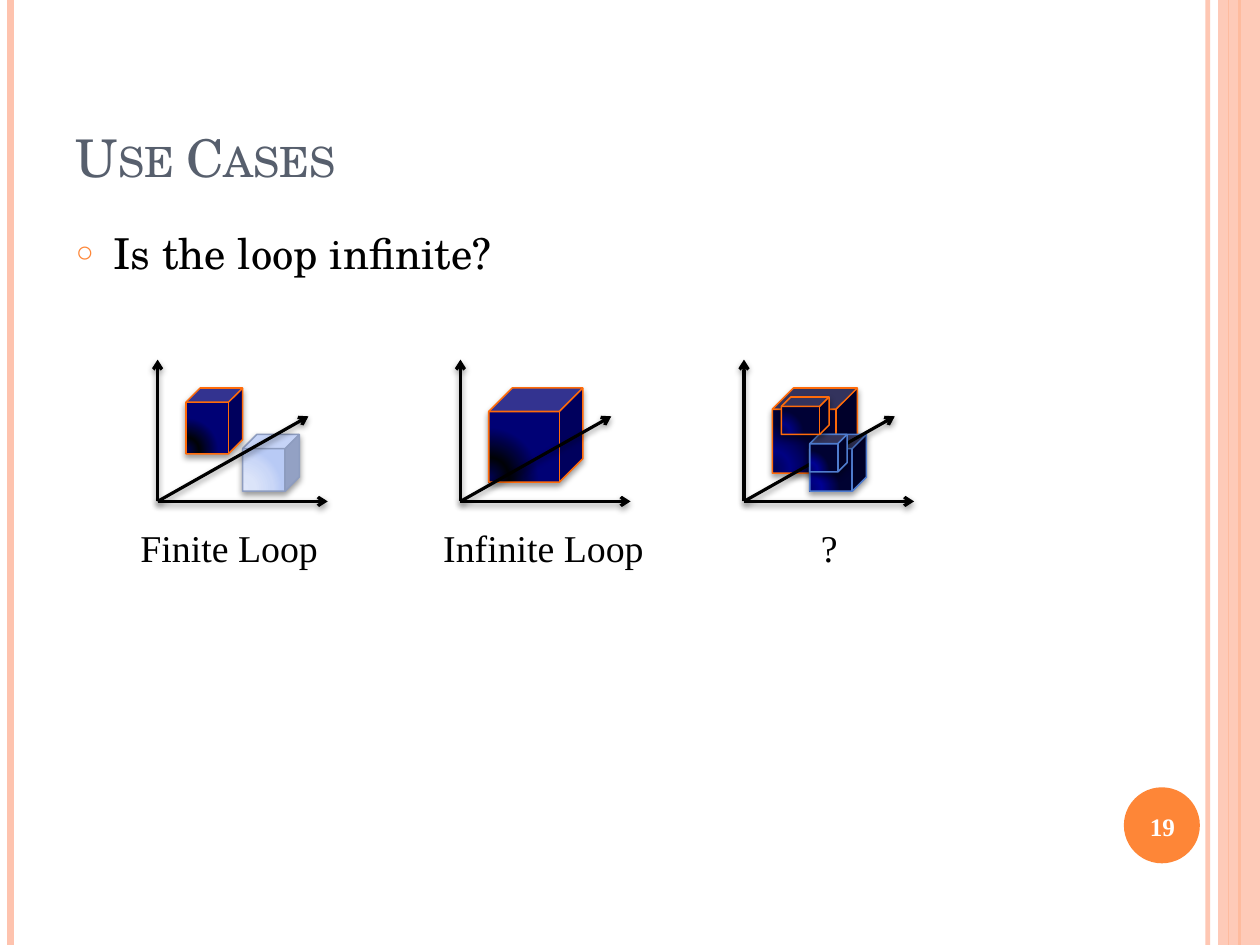
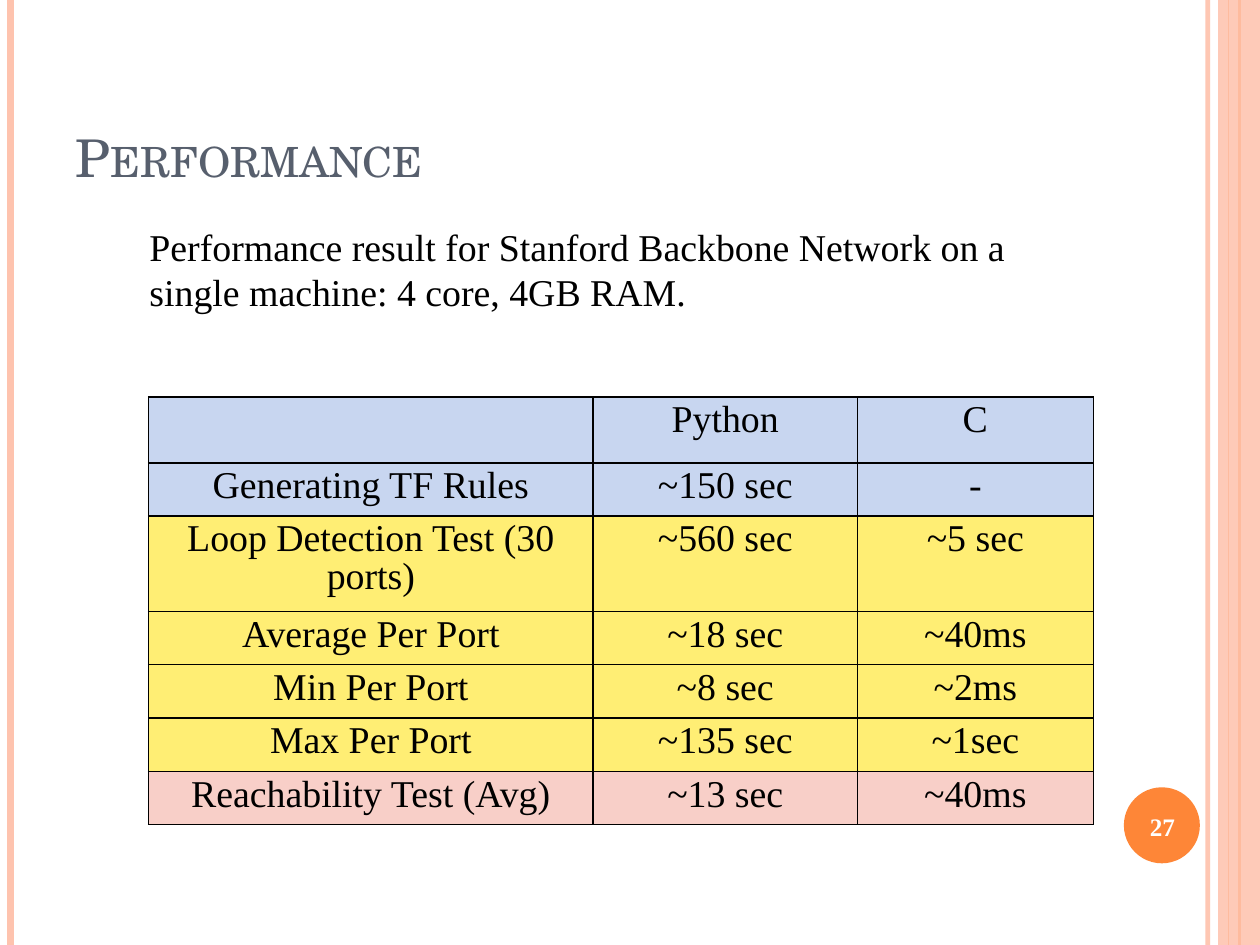
from dataclasses import dataclass
from typing import Optional, Union

from lxml.etree import SubElement
from pptx import Presentation
from pptx.dml.color import RGBColor
from pptx.enum.shapes import MSO_CONNECTOR, MSO_SHAPE
from pptx.enum.text import MSO_ANCHOR as Anchor, MSO_AUTO_SIZE as AutoSize, PP_ALIGN as Align
from pptx.oxml import parse_xml
from pptx.oxml.ns import nsdecls, qn
from pptx.shapes.autoshape import Shape
from pptx.shapes.connector import Connector
from pptx.slide import Slide
from pptx.text.text import TextFrame
from pptx.util import Inches, Pt

BLACK = RGBColor(0x00, 0x00, 0x00)
WHITE = RGBColor(0xFF, 0xFF, 0xFF)
SLATE = RGBColor(0x57, 0x5F, 0x6D)
ORANGE = RGBColor(0xFE, 0x86, 0x37)
PEACH = RGBColor(0xFE, 0xC3, 0xAE)
CUBE_ORANGE = RGBColor(0xFF, 0x6B, 0x0A)
CUBE_PALE_ORANGE = RGBColor(0xFF, 0xCF, 0xAF)
CUBE_MID_ORANGE = RGBColor(0xFE, 0xB6, 0x87)
CUBE_BLUE = RGBColor(0x4F, 0x7C, 0xCF)
CUBE_GREY_BLUE = RGBColor(0x8D, 0x9C, 0xBF)
CUBE_PALE_BLUE = RGBColor(0xAC, 0xC1, 0xE8)
ROW_BLUE = RGBColor(0xC8, 0xD6, 0xF0)
ROW_YELLOW = RGBColor(0xFF, 0xEE, 0x74)
ROW_PINK = RGBColor(0xF8, 0xCF, 0xC8)

HEADING_FONT = "TeX Gyre Schola"
TEXT_FONT = "Times New Roman"
SLIDE_WIDTH, SLIDE_HEIGHT = 11.11, 8.33
TITLE_LAYOUT, BODY_LAYOUT = 5, 1
PLACEHOLDER_INSETS = (0.11, 0.06)
AXIS_BOTTOM = 4.42


@dataclass(frozen=True)
class Stripe:
    x: float
    color: RGBColor
    width: float
    opacity: int = 100


@dataclass(frozen=True)
class CubeStyle:
    line: RGBColor
    fill: Union[RGBColor, tuple[str, ...]]
    opacity: int = 100


@dataclass(frozen=True)
class Cube:
    offset: float
    top: float
    width: float
    height: float
    style: CubeStyle


@dataclass(frozen=True)
class Diagram:
    axis_x: float
    caption: str
    caption_offset: float
    caption_width: float
    back_cubes: tuple[Cube, ...]
    front_cubes: tuple[Cube, ...] = ()


@dataclass(frozen=True)
class Row:
    height: float
    fill: RGBColor
    texts: tuple[str, str, str]


STRIPES = (
    Stripe(10.65, PEACH, 3, 93),
    Stripe(0.09, PEACH, 4.5),
    Stripe(10.93, ORANGE, 1.5),
    Stripe(10.83, ORANGE, 0.75),
)
GRADIENT_POSITIONS = (0, 30, 75, 100)
SOFT_BLUE = CubeStyle(CUBE_GREY_BLUE, ("DEE6FA", "DBE4F9", "CAD7F7", "B8CAF5"))
STRONG_BLUE = CubeStyle(CUBE_BLUE, ("CFDCFF", "CBD9FF", "AFC6FF", "95B4FF"))
CLEAR_BLUE = CubeStyle(CUBE_BLUE, CUBE_PALE_BLUE, 49)
PALE_ORANGE = CubeStyle(CUBE_ORANGE, CUBE_PALE_ORANGE, 63)
FAINT_ORANGE = CubeStyle(CUBE_ORANGE, CUBE_PALE_ORANGE, 40)
MID_ORANGE = CubeStyle(CUBE_ORANGE, CUBE_MID_ORANGE, 63)

AXIS_TIPS = ((1.33, 3.67), (0, 3.17), (1.5, AXIS_BOTTOM))
DIAGRAMS = (
    Diagram(1.39, "Finite Loop", -0.25, 1.79, (
        Cube(0.75, 3.83, 0.5, 0.5, SOFT_BLUE),
        Cube(0.25, 3.42, 0.5, 0.58, PALE_ORANGE),
    )),
    Diagram(4.06, "Infinite Loop", -0.25, 1.99, (
        Cube(0.41, 3.67, 0.5, 0.42, STRONG_BLUE),
        Cube(0.25, 3.42, 0.83, 0.83, FAINT_ORANGE),
    )),
    Diagram(6.56, "?", 0.58, 0.35, (
        Cube(0.25, 3.42, 0.75, 0.75, MID_ORANGE),
        Cube(0.58, 3.83, 0.5, 0.5, CLEAR_BLUE),
    ), (
        Cube(0.58, 3.83, 0.33, 0.33, CLEAR_BLUE),
        Cube(0.33, 3.5, 0.42, 0.33, MID_ORANGE),
    )),
)

COLUMN_WIDTHS = (3.92, 2.33, 2.08)
ROWS = (
    Row(0.58, ROW_BLUE, ("", "Python", "C")),
    Row(0.47, ROW_BLUE, ("Generating TF Rules", "~150 sec", "-")),
    Row(0.84, ROW_YELLOW, ("Loop Detection Test (30 ports)", "~560 sec", "~5 sec")),
    Row(0.47, ROW_YELLOW, ("Average Per Port", "~18 sec", "~40ms")),
    Row(0.47, ROW_YELLOW, ("Min Per Port", "~8 sec", "~2ms")),
    Row(0.47, ROW_YELLOW, ("Max Per Port", "~135 sec", "~1sec")),
    Row(0.47, ROW_PINK, ("Reachability Test (Avg)", "~13 sec", "~40ms")),
)


def write_text(frame: TextFrame, text: str, *, size: float = 24, font: str = TEXT_FONT,
               color: RGBColor = BLACK, bold: bool = False, small_caps: bool = False,
               align: Align = Align.LEFT, anchor: Optional[Anchor] = None,
               insets: Optional[tuple[float, float]] = None, wrap: Optional[bool] = True,
               auto_size: Optional[AutoSize] = AutoSize.NONE,
               line_spacing: Optional[float] = None) -> None:
    frame.word_wrap = wrap
    frame.auto_size = auto_size
    if anchor is not None:
        frame.vertical_anchor = anchor
    if insets:
        frame.margin_left = frame.margin_right = Inches(insets[0])
        frame.margin_top = frame.margin_bottom = Inches(insets[1])
    paragraph = frame.paragraphs[0]
    paragraph.alignment = align
    paragraph.line_spacing = line_spacing
    run = paragraph.add_run()
    run.text = text
    run.font.size = Pt(size)
    run.font.name = font
    run.font.bold = bold
    run.font.color.rgb = color
    if small_caps:
        run.font._element.set("cap", "small")


def place(shape: Shape, left: float, top: float, width: float, height: float) -> None:
    shape.left, shape.top = Inches(left), Inches(top)
    shape.width, shape.height = Inches(width), Inches(height)


def add_text_box(slide: Slide, left: float, top: float, width: float, height: float,
                 text: str, **text_format) -> None:
    box = slide.shapes.add_textbox(Inches(left), Inches(top), Inches(width), Inches(height))
    write_text(box.text_frame, text, **text_format)


def set_opacity(color_element, percent: int) -> None:
    if percent < 100:
        SubElement(color_element, qn("a:alpha")).set("val", str(percent * 1000))


def add_shadow(effects) -> None:
    effects.append(parse_xml(
        f'<a:outerShdw {nsdecls("a")} blurRad="{Pt(4)}" dist="{Pt(2)}" dir="5400000" '
        'rotWithShape="0"><a:srgbClr val="000000"><a:alpha val="40000"/></a:srgbClr></a:outerShdw>'))


def add_shape(slide: Slide, kind: MSO_SHAPE, left: float, top: float, width: float,
              height: float, fill: RGBColor, opacity: int = 100) -> Shape:
    shape = slide.shapes.add_shape(kind, Inches(left), Inches(top), Inches(width), Inches(height))
    shape.shadow.inherit = False
    shape.fill.solid()
    shape.fill.fore_color.rgb = fill
    set_opacity(shape.element.spPr.xpath("./a:solidFill/a:srgbClr")[0], opacity)
    shape.line.fill.background()
    return shape


def add_line(slide: Slide, start: tuple[float, float], end: tuple[float, float],
             color: RGBColor, width: float, opacity: int = 100) -> Connector:
    line = slide.shapes.add_connector(
        MSO_CONNECTOR.STRAIGHT, *(Inches(value) for value in start + end))
    line.line.color.rgb = color
    line.line.width = Pt(width)
    properties = line.element.spPr
    set_opacity(properties.xpath("./a:ln/a:solidFill/a:srgbClr")[0], opacity)
    SubElement(properties, qn("a:effectLst"))
    return line


def add_axis(slide: Slide, start: tuple[float, float], end: tuple[float, float]) -> None:
    properties = add_line(slide, start, end, BLACK, 2).element.spPr
    SubElement(properties.find(qn("a:ln")), qn("a:tailEnd")).set("type", "arrow")
    add_shadow(properties.find(qn("a:effectLst")))


def add_cube(slide: Slide, cube: Cube, axis_x: float) -> None:
    style = cube.style
    is_gradient = isinstance(style.fill, tuple)
    shape = add_shape(slide, MSO_SHAPE.CUBE, axis_x + cube.offset, cube.top, cube.width,
                      cube.height, WHITE if is_gradient else style.fill, style.opacity)
    shape.line.color.rgb = style.line
    shape.line.width = Pt(1)
    properties = shape.element.spPr
    if is_gradient:
        stops = "".join(f'<a:gs pos="{position * 1000}"><a:srgbClr val="{color}"/></a:gs>'
                        for position, color in zip(GRADIENT_POSITIONS, style.fill))
        properties.replace(properties.find(qn("a:solidFill")), parse_xml(
            f'<a:gradFill {nsdecls("a")} rotWithShape="1"><a:gsLst>{stops}</a:gsLst>'
            '<a:path path="circle"><a:fillToRect l="5000" t="100000" r="120000" b="10000"/>'
            '</a:path></a:gradFill>'))
    add_shadow(properties.find(qn("a:effectLst")))


def add_diagram(slide: Slide, diagram: Diagram) -> None:
    for cube in diagram.back_cubes:
        add_cube(slide, cube, diagram.axis_x)
    for offset, tip_y in AXIS_TIPS:
        add_axis(slide, (diagram.axis_x, AXIS_BOTTOM), (diagram.axis_x + offset, tip_y))
    add_text_box(slide, diagram.axis_x + diagram.caption_offset, 4.58, diagram.caption_width,
                 0.51, diagram.caption, wrap=False, auto_size=AutoSize.SHAPE_TO_FIT_TEXT)
    for cube in diagram.front_cubes:
        add_cube(slide, cube, diagram.axis_x)


def add_framed_slide(presentation: Presentation, layout: int, title: str, number: int) -> Slide:
    slide = presentation.slides.add_slide(presentation.slide_layouts[layout])
    for stripe in STRIPES:
        add_line(slide, (stripe.x, 0), (stripe.x, SLIDE_HEIGHT),
                 stripe.color, stripe.width, stripe.opacity)
    add_shape(slide, MSO_SHAPE.RECTANGLE, 10.74, 0, 0.37, SLIDE_HEIGHT, PEACH, 87)
    add_shape(slide, MSO_SHAPE.OVAL, 9.91, 6.94, 0.67, 0.67, ORANGE)
    place(slide.shapes.title, 0.56, 0.33, 9.07, 1.39)
    write_text(slide.shapes.title.text_frame, title, size=33, font=HEADING_FONT, color=SLATE,
               small_caps=True, anchor=Anchor.BOTTOM, insets=PLACEHOLDER_INSETS)
    add_text_box(slide, 9.88, 6.97, 0.74, 0.63, str(number), size=16, color=WHITE, bold=True,
                 align=Align.CENTER, anchor=Anchor.MIDDLE, insets=PLACEHOLDER_INSETS)
    return slide


def add_bullet(body: Shape, text: str) -> None:
    write_text(body.text_frame, text, size=27, font=HEADING_FONT, insets=PLACEHOLDER_INSETS)
    paragraph = body.text_frame.paragraphs[0]
    paragraph.space_before = Pt(6.6)
    properties = paragraph._p.get_or_add_pPr()
    properties.set("marL", str(Inches(0.33)))
    properties.set("indent", str(-Inches(0.33)))
    SubElement(SubElement(properties, qn("a:buClr")), qn("a:srgbClr")).set("val", str(ORANGE))
    SubElement(properties, qn("a:buSzPct")).set("val", "70000")
    SubElement(properties, qn("a:buChar")).set("char", "○")


def add_results_table(slide: Slide) -> None:
    table = slide.shapes.add_table(
        len(ROWS), len(COLUMN_WIDTHS), Inches(1.31), Inches(3.5),
        Inches(sum(COLUMN_WIDTHS)), Inches(sum(row.height for row in ROWS))).table
    table.first_row = table.horz_banding = False
    for column, width in zip(table.columns, COLUMN_WIDTHS):
        column.width = Inches(width)
    for table_row, row in zip(table.rows, ROWS):
        table_row.height = Inches(row.height)
        for cell, text in zip(table_row.cells, row.texts):
            if text:
                write_text(cell.text_frame, text, align=Align.CENTER, line_spacing=0.9,
                           wrap=None, auto_size=None)
            cell.fill.solid()
            cell.fill.fore_color.rgb = row.fill
            properties = cell._tc.get_or_add_tcPr()
            for index, side in enumerate(("lnL", "lnR", "lnT", "lnB")):
                properties.insert(index, parse_xml(
                    f'<a:{side} {nsdecls("a")} w="{Pt(1)}"><a:solidFill>'
                    f'<a:srgbClr val="{BLACK}"/></a:solidFill></a:{side}>'))


def main() -> None:
    presentation = Presentation()
    presentation.slide_width = Inches(SLIDE_WIDTH)
    presentation.slide_height = Inches(SLIDE_HEIGHT)

    use_cases = add_framed_slide(presentation, BODY_LAYOUT, "Use Cases", 19)
    body = use_cases.placeholders[1]
    place(body, 0.56, 1.94, 9.07, 0.89)
    add_bullet(body, "Is the loop infinite?")
    for diagram in DIAGRAMS:
        add_diagram(use_cases, diagram)

    performance = add_framed_slide(presentation, TITLE_LAYOUT, "Performance", 27)
    add_results_table(performance)
    add_text_box(performance, 1.22, 1.92, 7.83, 0.91,
                 "Performance result for Stanford Backbone Network on a single machine: "
                 "4 core, 4GB RAM.", auto_size=AutoSize.SHAPE_TO_FIT_TEXT)
    presentation.save("out.pptx")


if __name__ == "__main__":
    main()
